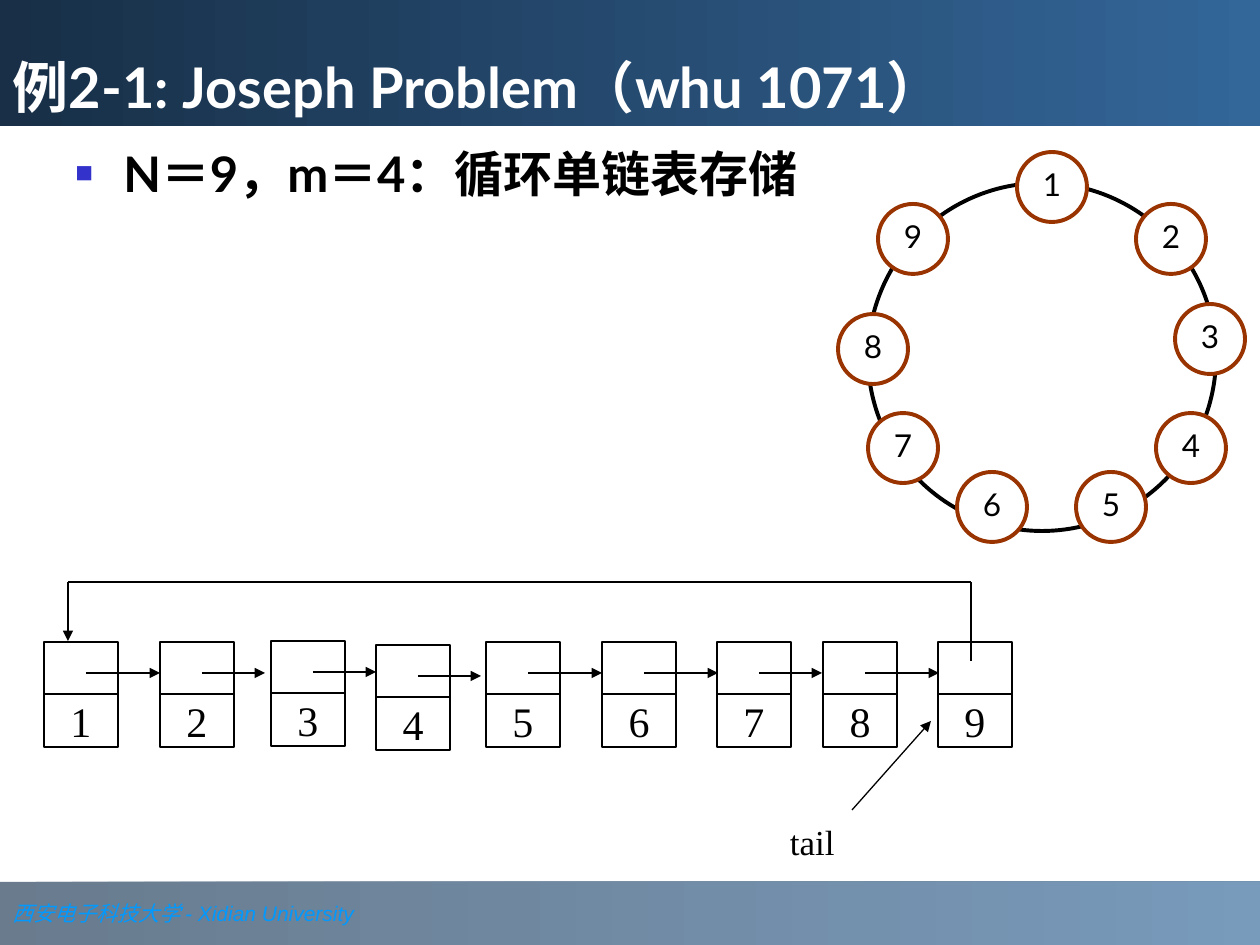
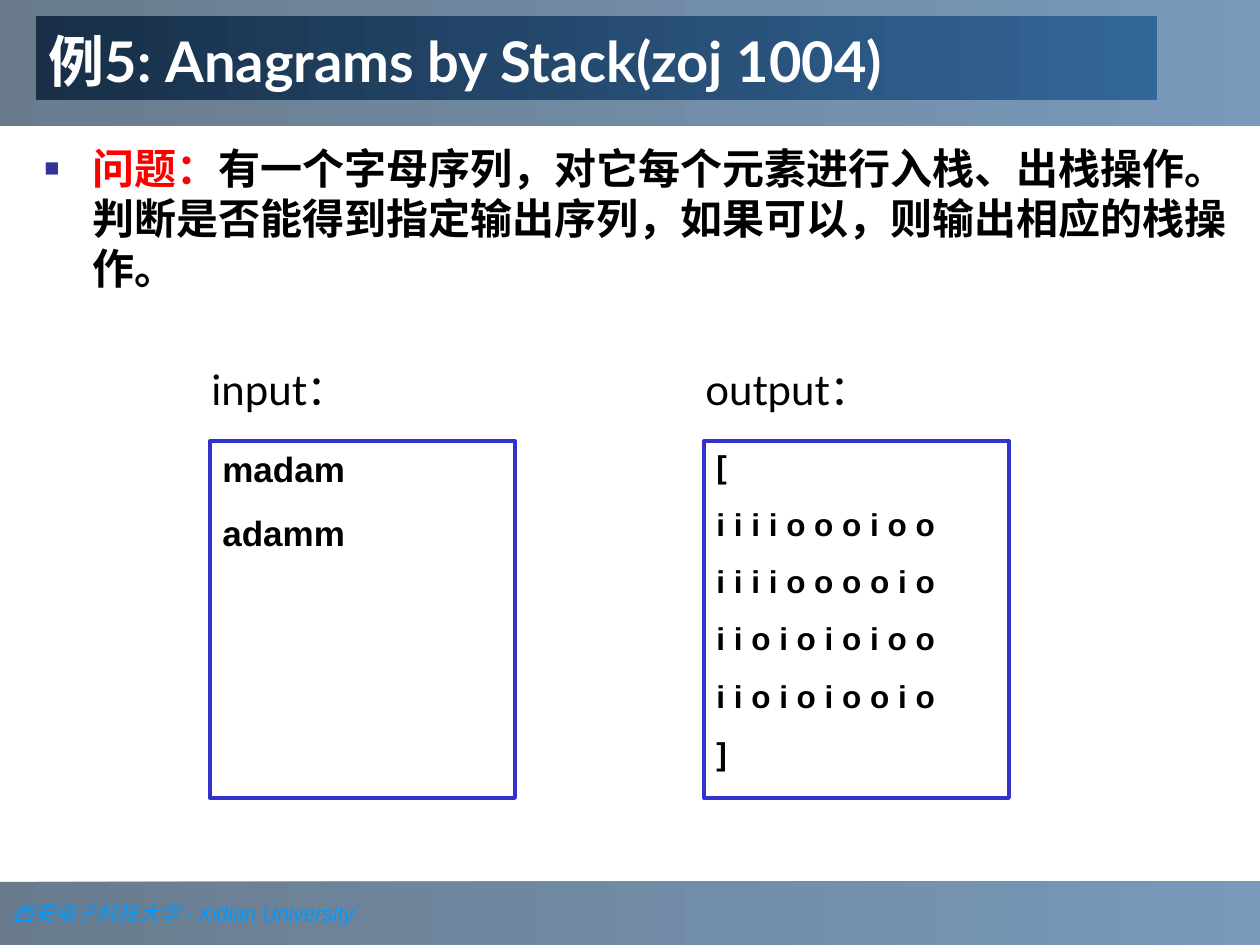
from lxml.etree import SubElement
from pptx import Presentation
from pptx.dml.color import RGBColor
from pptx.enum.shapes import MSO_CONNECTOR, MSO_SHAPE
from pptx.enum.text import MSO_ANCHOR, MSO_AUTO_SIZE, PP_ALIGN
from pptx.oxml.ns import qn
from pptx.util import Emu, Pt

PX = 914400 / 126
PAGE_WIDTH, PAGE_HEIGHT = 1260, 945
BAND_HEIGHT, FOOTER_HEIGHT = 126, 63

BLACK = RGBColor(0x00, 0x00, 0x00)
WHITE = RGBColor(0xFF, 0xFF, 0xFF)
RED = RGBColor(0xFF, 0x00, 0x00)
BROWN = RGBColor(0x99, 0x33, 0x00)
BLUE = RGBColor(0x33, 0x33, 0xCC)
INDIGO = RGBColor(0x33, 0x33, 0x99)
SKY = RGBColor(0x00, 0x99, 0xFF)
BAND_DARK = RGBColor(0x1C, 0x38, 0x53)
TITLE_DARK = RGBColor(0x18, 0x2F, 0x47)
STEEL = RGBColor(0x33, 0x66, 0x99)

SANS, SERIF, PLAIN = "Lato", "Times New Roman", "Arial"

RING_NODES = [(179, 0), (298, 52), (337, 152), (318, 261), (238, 320),
              (119, 320), (30, 261), (0, 162), (40, 52)]
# Left, top and arrow length of each list node, relative to the list
LIST_NODES = [(0, 60, 74), (116, 60, 63), (227, 59, 63), (332, 63, 63),
              (442, 60, 74), (558, 60, 74), (673, 60, 63), (779, 60, 74),
              (894, 60, 0)]


def px(*lengths):
    return [Emu(round(length * PX)) for length in lengths]


def set_font(font, name, size, color=BLACK, bold=False, italic=False):
    font.name, font.size = name, Pt(size)
    font.bold, font.italic = bold, italic
    font.color.rgb = color


def add_box(page, kind, box, fill=None, line=None, width=0.75):
    shape = page.shapes.add_shape(kind, *px(*box))
    shape.shadow.inherit = False
    if fill is None:
        shape.fill.background()
    else:
        shape.fill.solid()
        shape.fill.fore_color.rgb = fill
    if line is None:
        shape.line.fill.background()
    else:
        shape.line.color.rgb = line
        shape.line.width = Pt(width)
    return shape


def add_text_box(page, box):
    shape = page.shapes.add_textbox(*px(*box))
    shape.text_frame.word_wrap = True
    return shape.text_frame


def add_line(page, start, end, arrow=False):
    line = page.shapes.add_connector(MSO_CONNECTOR.STRAIGHT, *px(*start, *end))
    line.line.color.rgb = BLACK
    line.line.width = Pt(0.75)
    if arrow:
        SubElement(line.line._get_or_add_ln(), qn("a:tailEnd"), type="triangle")
    SubElement(line.element.spPr, qn("a:effectLst"))


def fill_gradient(shape, start, end, opacity=None):
    shape.fill.gradient()
    shape.fill.gradient_angle = 0
    for stop, color in zip(shape.fill.gradient_stops, (start, end)):
        stop.color.rgb = color
    if opacity:
        for color in shape.element.spPr.iter(qn("a:srgbClr")):
            SubElement(color, qn("a:alpha"), val=str(opacity * 1000))


def add_bullet(para, color):
    properties = para._p.get_or_add_pPr()
    indent = px(48)[0]
    properties.set("marL", str(indent))
    properties.set("indent", str(-indent))
    bullet_color = SubElement(properties, qn("a:buClr"))
    SubElement(bullet_color, qn("a:srgbClr"), val=str(color))
    SubElement(properties, qn("a:buSzPct"), val="60000")
    SubElement(properties, qn("a:buFont"), typeface=PLAIN)
    SubElement(properties, qn("a:buChar"), char="■")


def add_band(page, top, height):
    band = add_box(page, MSO_SHAPE.RECTANGLE, (0, top, PAGE_WIDTH, height))
    fill_gradient(band, BAND_DARK, STEEL, opacity=66)
    return band


def add_page(deck, title_text, title_box):
    """Add a slide with its two bands, footer and title."""
    page = deck.slides.add_slide(deck.slide_layouts[5])
    footer = add_band(page, PAGE_HEIGHT - FOOTER_HEIGHT, FOOTER_HEIGHT)
    footer.text_frame.vertical_anchor = MSO_ANCHOR.MIDDLE
    para = footer.text_frame.paragraphs[0]
    para.alignment = PP_ALIGN.LEFT
    for text, name in (("西安电子科技大学 ", SERIF), ("- Xidian University", PLAIN)):
        span = para.add_run()
        span.text = text
        set_font(span.font, name, 12, SKY, italic=True)
    add_band(page, 0, BAND_HEIGHT)

    title = page.shapes.title
    title.element.getparent().append(title.element)
    title.left, title.top, title.width, title.height = px(*title_box)
    fill_gradient(title, TITLE_DARK, STEEL)
    frame = title.text_frame
    frame.text = title_text
    frame.auto_size = MSO_AUTO_SIZE.NONE
    frame.vertical_anchor = MSO_ANCHOR.BOTTOM
    frame.paragraphs[0].alignment = PP_ALIGN.LEFT
    set_font(frame.paragraphs[0].font, SANS, 32, WHITE, bold=True)
    return page


def label_shape(shape, text, name, size, line_spacing=None):
    frame = shape.text_frame
    frame.text = text
    frame.word_wrap = False
    frame.vertical_anchor = MSO_ANCHOR.MIDDLE
    para = frame.paragraphs[0]
    para.alignment = PP_ALIGN.CENTER
    if line_spacing:
        para.line_spacing = line_spacing
    set_font(para.font, name, size)


def add_ring(page, left, top):
    add_box(page, MSO_SHAPE.OVAL, (left + 30, top + 31, 348, 348),
            line=BLACK, width=2.25)
    for number, (x, y) in enumerate(RING_NODES, 1):
        node = add_box(page, MSO_SHAPE.OVAL, (left + x, top + y, 70, 70),
                       WHITE, BROWN, 2.25)
        label_shape(node, str(number), SANS, 18, 0.8)


def add_linked_list(page, left, top):
    for number, (x, y, reach) in enumerate(LIST_NODES, 1):
        x, y = left + x, top + y
        value = add_box(page, MSO_SHAPE.RECTANGLE, (x, y + 52, 74, 53), WHITE, BLACK)
        label_shape(value, str(number), SERIF, 24)
        add_box(page, MSO_SHAPE.RECTANGLE, (x, y, 74, 52), WHITE, BLACK)
        if reach:
            add_line(page, (x + 42, y + 31), (x + 42 + reach, y + 31), arrow=True)

    first, last = left + 24, left + 927
    add_line(page, (last, top + 79), (last, top))
    add_line(page, (last, top), (first, top))
    add_line(page, (first, top), (first, top + 59), arrow=True)

    frame = add_text_box(page, (left + 746, top + 238, 79, 42))
    frame.margin_left = frame.margin_right = frame.margin_top = frame.margin_bottom = 0
    frame.vertical_anchor = MSO_ANCHOR.MIDDLE
    frame.text = "tail"
    set_font(frame.paragraphs[0].font, SERIF, 20)
    add_line(page, (left + 808, top + 228), (left + 887, top + 139), arrow=True)


def add_example(page, left, top, heading, lines, size, gap):
    """Add a heading with a framed block of sample lines below it."""
    frame = add_text_box(page, (left, top, 242, 63))
    frame.text = heading
    set_font(frame.paragraphs[0].font, SANS, 24)

    panel = add_box(page, MSO_SHAPE.RECTANGLE, (left + 11, top + 84, 305, 357),
                    line=BLUE, width=2.25)
    frame = panel.text_frame
    frame.vertical_anchor = MSO_ANCHOR.TOP
    frame.text = "\n".join(lines)
    for index, para in enumerate(frame.paragraphs):
        para.alignment = PP_ALIGN.LEFT
        if index:
            para.space_before = Pt(gap)
        set_font(para.font, PLAIN, size, bold=True)


def add_statement(page, box, spans, size, bullet_color):
    para = add_text_box(page, box).paragraphs[0]
    add_bullet(para, bullet_color)
    set_font(para.font, SANS, size, bold=True)
    for text, color in spans:
        span = para.add_run()
        span.text = text
        span.font.color.rgb = color


def build_joseph_page(deck):
    page = add_page(deck, "例2-1: Joseph Problem（whu 1071）",
                    (0, 0, PAGE_WIDTH, BAND_HEIGHT))
    add_statement(page, (63, 137, 1134, 116),
                  [("N＝9，m＝4：循环单链表存储", BLACK)], 28, BLUE)
    add_ring(page, 838, 152)
    add_linked_list(page, 44, 582)


def build_anagram_page(deck):
    page = add_page(deck, "例5: Anagrams by Stack(zoj 1004)", (36, 16, 1121, 84))
    add_statement(page, (32, 136, 1218, 189),
                  [("问题：", RED),
                   ("有一个字母序列，对它每个元素进行入栈、出栈操作。"
                    "判断是否能得到指定输出序列，如果可以，则输出相应的栈操作。", BLACK)],
                  24, INDIGO)
    add_example(page, 199, 357, "input：", ["madam", "adamm"], 20, 12.5)
    add_example(page, 693, 357, "output：",
                ["[", "i i i i o o o i o o", "i i i i o o o o i o",
                 "i i o i o i o i o o", "i i o i o i o o i o", "]"], 18, 11.2)


def main():
    deck = Presentation()
    deck.slide_width, deck.slide_height = px(PAGE_WIDTH, PAGE_HEIGHT)
    build_joseph_page(deck)
    build_anagram_page(deck)
    deck.save("out.pptx")


if __name__ == "__main__":
    main()
